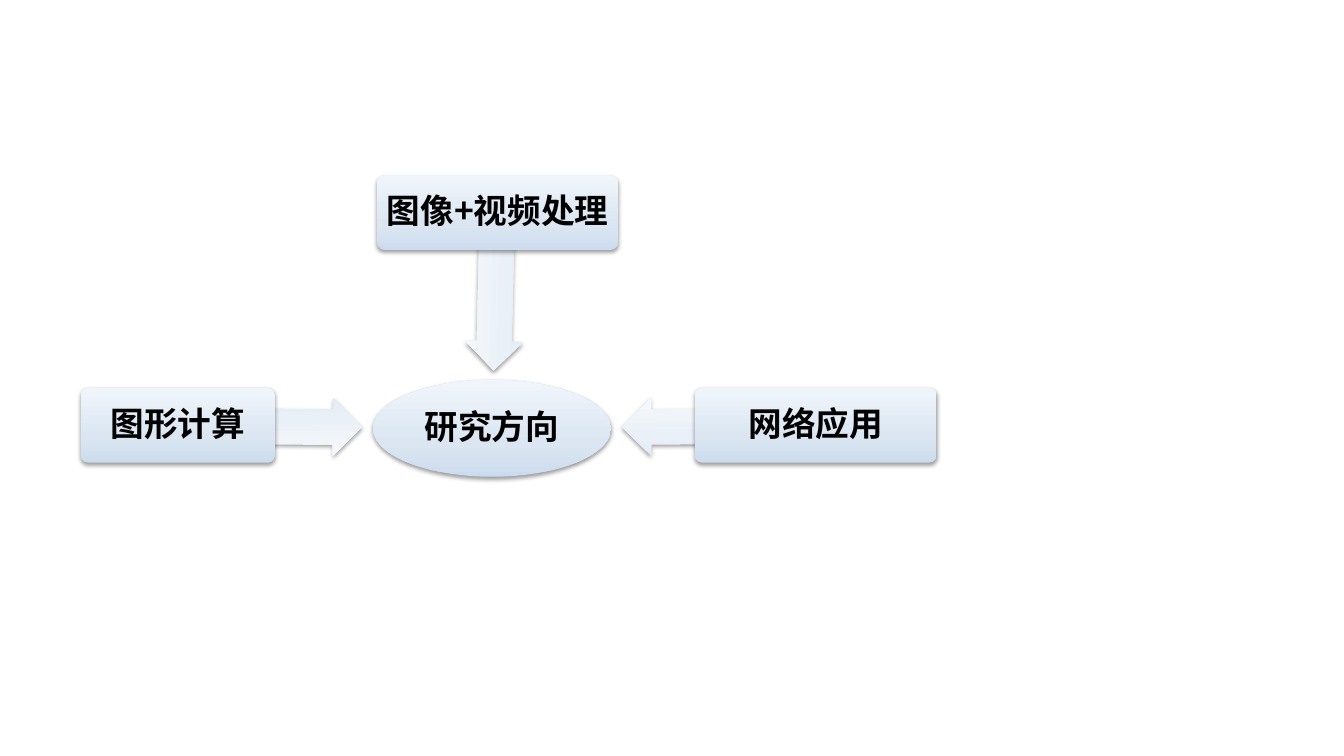
from lxml.etree import SubElement
from pptx import Presentation
from pptx.dml.color import RGBColor
from pptx.enum.shapes import MSO_SHAPE
from pptx.enum.text import MSO_ANCHOR, PP_ALIGN
from pptx.oxml.ns import qn
from pptx.util import Inches, Pt

COLORS = {
    "text": "000000",
    "shadow": "000000",
    "box": ("CCDCEE", "DBE6F2", "F0F5FB"),
    "arrow": ("E2EBF5", "EAF0F7", "F6F9FC"),
}
STOPS = (0, 35000, 100000)
FONT = "Noto Sans CJK SC"
TEXT = {"size": Pt(24), "bold": True, "name": FONT}


class Diagram:
    """Holds the style and the current slide of a converging diagram."""

    def __init__(self, prs):
        self.s = prs.slides.add_slide(prs.slide_layouts[6])

    def shape(self, kind, box, colors, adjustments=()):
        sp = self.s.shapes.add_shape(kind, *map(Inches, box))
        for i, value in enumerate(adjustments):
            sp.adjustments[i] = value
        sp.fill.gradient()
        sp.fill.gradient_angle = 90
        stops = sp._element.spPr.find(".//" + qn("a:gsLst"))
        for gs in list(stops):
            stops.remove(gs)
        for pos, color in zip(STOPS, COLORS[colors]):
            gs = SubElement(stops, qn("a:gs"), pos=str(pos))
            SubElement(gs, qn("a:srgbClr"), val=color)
        sp.line.fill.background()
        self.shadow(sp)
        return sp

    def shadow(self, sp):
        sp.shadow.inherit = False
        effects = sp._element.spPr.find(qn("a:effectLst"))
        outer = SubElement(effects, qn("a:outerShdw"), blurRad="40000",
                           dist="20000", dir="5400000", rotWithShape="0")
        color = SubElement(outer, qn("a:srgbClr"), val=COLORS["shadow"])
        SubElement(color, qn("a:alpha"), val="38000")

    def label(self, sp, text, inset):
        tf = sp.text_frame
        frame = {"word_wrap": True, "vertical_anchor": MSO_ANCHOR.MIDDLE}
        for side in ("left", "top", "right", "bottom"):
            frame["margin_" + side] = Inches(inset)
        for name, value in frame.items():
            setattr(tf, name, value)
        p = tf.paragraphs[0]
        p.alignment, p.line_spacing = PP_ALIGN.CENTER, 0.9
        r = p.add_run()
        r.text = text
        for name, value in TEXT.items():
            setattr(r.font, name, value)
        r.font.color.rgb = RGBColor.from_string(COLORS["text"])
        SubElement(r._r.get_or_add_rPr(), qn("a:ea"), typeface=FONT)

    def hub(self, text, box):
        self.label(self.shape(MSO_SHAPE.OVAL, box, "box"), text, 0.02)

    def arrow(self, box, rotation):
        sp = self.shape(MSO_SHAPE.LEFT_ARROW, box, "arrow", (0.6, 0.5))
        sp.rotation = rotation

    def topic(self, text, box):
        sp = self.shape(MSO_SHAPE.ROUNDED_RECTANGLE, box, "box", (0.1,))
        self.label(sp, text, 0.05)


def main():
    prs = Presentation()
    prs.slide_width, prs.slide_height = Inches(13.33), Inches(7.5)
    d = Diagram(prs)
    d.hub("研究方向", (3.7, 3.77, 2.36, 0.96))
    branches = [
        ("图形计算", (0.8, 3.85, 1.93, 0.74), (1.76, 3.94, 1.83, 0.58), 180.5),
        ("图像+视频处理", (3.74, 1.74, 2.39, 0.74), (4.13, 2.6, 1.57, 0.58), 271.4),
        ("网络应用", (6.89, 3.85, 2.4, 0.74), (6.17, 3.94, 1.91, 0.58), 359.5),
    ]
    for text, box, arrow, rotation in branches:
        d.arrow(arrow, rotation)
        d.topic(text, box)
    prs.save("out.pptx")


if __name__ == "__main__":
    main()
